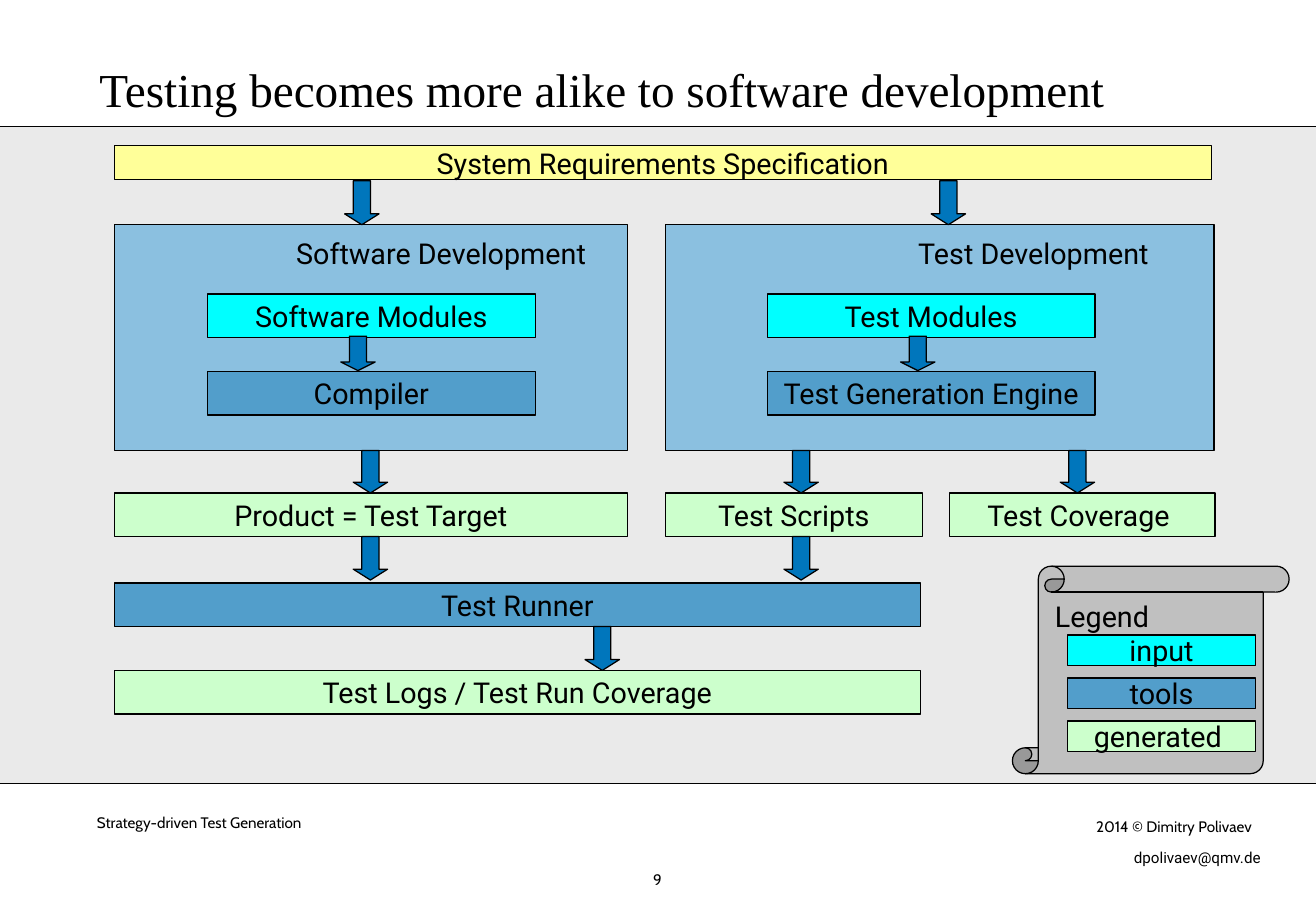
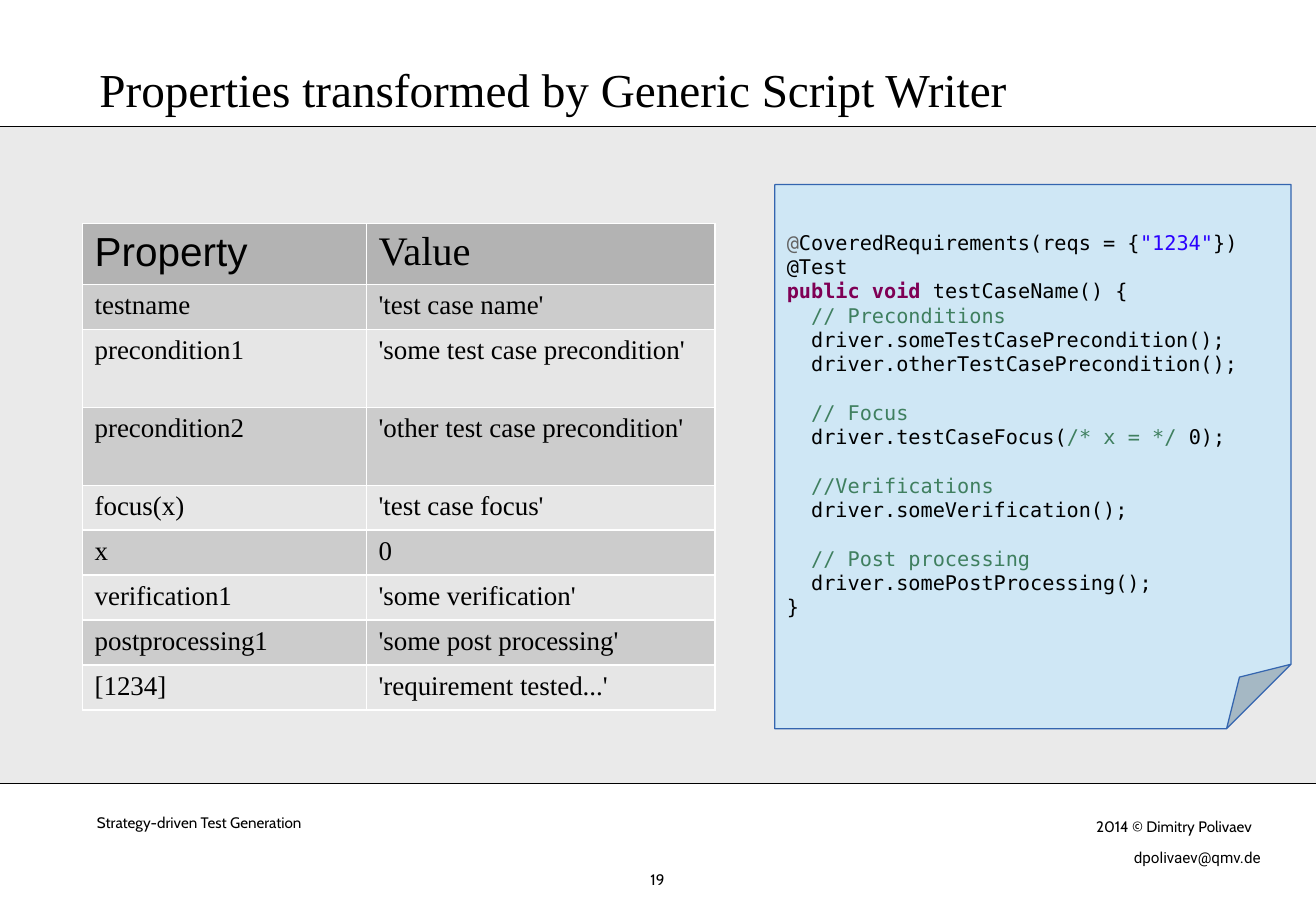
from pptx import Presentation
from pptx import util as u
from pptx.dml.color import RGBColor
from pptx.enum import shapes, text
from pptx.oxml.ns import qn
from lxml import etree

Cm, Pt = u.Cm, u.Pt
SHAPE, ALIGN, ANCHOR = shapes.MSO_SHAPE, text.PP_ALIGN, text.MSO_ANCHOR

COLORS = {
    "ink": "000000", "band": "EAEAEA", "spec": "FFFF99", "panel": "8BC0E0",
    "input": "00FFFF", "tools": "529ECB", "generated": "CCFFCC",
    "arrow": "0076BC", "scroll": "C0C0C0", "note": "CFE7F5", "note_edge": "3465AF",
    "head_row": "B3B3B3", "odd_row": "CCCCCC", "even_row": "E6E6E6",
    "at": "646464", "string": "2A00FF", "keyword": "7F0055", "comment": "3F7F5F",
}
SERIF, BODY, SMALL, MONO = "Times New Roman", "Roboto", "Cabin", "DejaVu Sans Mono"
WIDTH, HEIGHT = 27.53, 19.05
BAND_TOP, BAND_BOTTOM = 2.64, 16.38
LEFT = 2.39
BOX_H = 0.91
ARROW_W = 0.72


def rgb(name):
    return RGBColor.from_string(COLORS[name])


def add_run(p, content, font=BODY, size=17, color="ink", bold=False):
    r = p.add_run()
    r.text = content
    r.font.name, r.font.size, r.font.bold = font, Pt(size), bold
    r.font.color.rgb = rgb(color)


def set_text(tf, content, align=ALIGN.CENTER, anchor=ANCHOR.MIDDLE, insets=(0, 0),
             wrap=True, spacing=None, **font):
    tf.word_wrap, tf.vertical_anchor = wrap, anchor
    tf.margin_left = tf.margin_right = Cm(insets[0])
    tf.margin_top = tf.margin_bottom = Cm(insets[1])
    p = tf.paragraphs[0]
    p.alignment = align
    if spacing:
        p.line_spacing = spacing
    add_run(p, content, **font)


def add_label(s, x, y, w, h, content, **fmt):
    sp = s.shapes.add_textbox(Cm(x), Cm(y), Cm(w), Cm(h))
    set_text(sp.text_frame, content, **fmt)


def add_shape(s, kind, x, y, w, h, fill, line="ink", width=0.75):
    sp = s.shapes.add_shape(kind, Cm(x), Cm(y), Cm(w), Cm(h))
    sp.shadow.inherit = False
    sp.fill.solid()
    sp.fill.fore_color.rgb = rgb(fill)
    if line:
        sp.line.color.rgb = rgb(line)
        sp.line.width = Pt(width)
    else:
        sp.line.fill.background()
    return sp


def add_box(s, x, y, w, h, fill, content):
    sp = add_shape(s, SHAPE.RECTANGLE, x, y, w, h, fill)
    set_text(sp.text_frame, content)


def add_down_arrow(s, center, top, bottom, head=0.315):
    sp = add_shape(s, SHAPE.DOWN_ARROW, center - ARROW_W / 2, top, ARROW_W, bottom - top, "arrow")
    sp.adjustments[1] = head


def add_rule(s, y):
    line = s.shapes.add_connector(shapes.MSO_CONNECTOR.STRAIGHT, 0, Cm(y), Cm(WIDTH), Cm(y))
    line.line.color.rgb = rgb("ink")
    line.line.width = Pt(0.75)
    etree.SubElement(line._element.spPr, qn("a:effectLst"))


def add_frame(prs, title, number):
    """Add a slide with the grey band, rules, footer and title."""
    s = prs.slides.add_slide(prs.slide_layouts[6])
    add_shape(s, SHAPE.RECTANGLE, 0, BAND_TOP, WIDTH, BAND_BOTTOM - BAND_TOP, "band", line=None)
    for y in (BAND_TOP, BAND_BOTTOM):
        add_rule(s, y)
    footer = dict(align=ALIGN.LEFT, anchor=ANCHOR.TOP, insets=(0.25, 0.13), wrap=False, size=9)
    add_label(s, 1.78, 16.87, 8.56, 0.64, "Strategy-driven Test Generation", font=SMALL, **footer)
    add_label(s, 22.68, 16.97, 4.06, 0.64, "2014 © Dimitry Polivaev", font=SMALL, **footer)
    add_label(s, 23.47, 17.6, 3.33, 0.64, "dpolivaev@qmv.de", font=BODY, **footer)
    add_label(s, 12.98, 18.19, 1.55, 0.43, str(number), anchor=ANCHOR.TOP, font=SMALL, size=9)
    add_label(s, 2.08, 1.19, 24.18, 1.24, title, align=ALIGN.LEFT, anchor=ANCHOR.BOTTOM,
              spacing=0.8, font=SERIF, size=28)
    return s


def add_development(s, x, y, w, h, heading, heading_center, inset, modules, tool):
    """Draw a panel in which modules feed a tool; offsets count from its left edge."""
    add_shape(s, SHAPE.RECTANGLE, x, y, w, h, "panel")
    add_label(s, x + heading_center - 3.24, y + 0.23, 6.48, 0.71, heading)
    module_x, module_y, tool_y, module_w = x + inset, y + 1.45, y + 3.07, 6.86
    add_box(s, module_x, module_y, module_w, BOX_H, "input", modules)
    add_box(s, module_x, tool_y, module_w, BOX_H, "tools", tool)
    add_down_arrow(s, module_x + 3.15, module_y + BOX_H - 0.03, tool_y - 0.02, head=0.25)


def add_legend(s, x, y, w, h):
    add_shape(s, SHAPE.VERTICAL_SCROLL, x, y, w, h, "scroll")
    add_label(s, x + 0.59, y + 0.56, 2.57, 0.97, "Legend")
    for i, (fill, name) in enumerate([("input", "input"), ("tools", "tools"),
                                      ("generated", "generated ")]):
        add_box(s, x + 1.15, y + 1.44 + 0.9 * i, 3.94, 0.64, fill, name)


def add_flow(s):
    spec_y, panel_y, panel_h, output_y, runner_y, logs_y = 3.05, 4.7, 4.72, 10.31, 12.19, 14.02
    product_w, runner_w, test_x, test_w = 10.74, 16.87, 13.92, 11.48
    product_center, scripts_center = 7.75, 16.76
    add_box(s, LEFT, spec_y, 22.96, 0.71, "spec", "System Requirements Specification")
    add_development(s, LEFT, panel_y, product_w, panel_h, "Software Development", 6.84,
                    1.95, "Software Modules", "Compiler")
    add_development(s, test_x, panel_y, test_w, panel_h, "Test Development", 7.7,
                    2.13, "Test Modules", "Test Generation Engine")
    add_box(s, LEFT, output_y, product_w, BOX_H, "generated", "Product = Test Target")
    add_box(s, test_x, output_y, 5.38, BOX_H, "generated", "Test Scripts")
    add_box(s, 19.86, output_y, 5.56, BOX_H, "generated", "Test Coverage ")
    add_box(s, LEFT, runner_y, runner_w, BOX_H, "tools", "Test Runner")
    add_box(s, LEFT, logs_y, runner_w, BOX_H, "generated", "Test Logs / Test Run Coverage")

    for center in (7.57, 19.84):
        add_down_arrow(s, center, spec_y + 0.73, panel_y)
    for center in (product_center, scripts_center, 22.54):
        add_down_arrow(s, center, panel_y + panel_h, output_y)
    for center in (product_center, scripts_center):
        add_down_arrow(s, center, output_y + BOX_H, runner_y - 0.06)
    add_down_arrow(s, 12.6, runner_y + BOX_H, logs_y)


PROPERTIES = [
    ("Property", "Value"),
    ("testname", "'test case name'"),
    ("precondition1", "'some test case precondition'"),
    ("precondition2", "'other test case precondition'"),
    ("focus(x)", "'test case focus'"),
    ("x", "0"),
    ("verification1", "'some verification'"),
    ("postprocessing1", "'some post processing'"),
    ("[1234]", "'requirement tested...'"),
]


def add_properties(s, x, y, widths):
    heights = [1.27 if i == 0 else 1.63 if i in (2, 3) else 0.94
               for i in range(len(PROPERTIES))]
    table = s.shapes.add_table(len(PROPERTIES), len(widths), Cm(x), Cm(y),
                               Cm(sum(widths)), Cm(sum(heights))).table
    for column, width in zip(table.columns, widths):
        column.width = Cm(width)
    for i, (values, height) in enumerate(zip(PROPERTIES, heights)):
        table.rows[i].height = Cm(height)
        fill = "head_row" if i == 0 else "odd_row" if i % 2 else "even_row"
        for j, value in enumerate(values):
            cell = table.cell(i, j)
            cell.fill.solid()
            cell.fill.fore_color.rgb = rgb(fill)
            cell.margin_left = cell.margin_right = Cm(0.25)
            cell.margin_top = cell.margin_bottom = Cm(0.13)
            add_run(cell.text_frame.paragraphs[0], value,
                    font="Arial" if (i, j) == (0, 0) else SERIF, size=16 if i else 24)


# Each line: indented, starts a new group, runs of (text, colour)
CODE = [
    (False, False, [("@", "at"), ("CoveredRequirements(reqs = {", "ink"),
                    ('"1234"', "string"), ("})", "ink")]),
    (False, False, [("@Test", "ink")]),
    (False, False, [("public void", "keyword"), (" testCaseName() {", "ink")]),
    (True, False, [("// Preconditions", "comment")]),
    (True, False, [("driver.someTestCasePrecondition();", "ink")]),
    (True, False, [("driver.otherTestCasePrecondition();", "ink")]),
    (True, True, [("// Focus", "comment")]),
    (True, False, [("driver.testCaseFocus(", "ink"), ("/* x = */", "comment"), (" 0);", "ink")]),
    (True, True, [("//Verifications", "comment")]),
    (True, False, [("driver.someVerification();", "ink")]),
    (True, True, [("// Post processing", "comment")]),
    (True, False, [("driver.somePostProcessing();", "ink")]),
    (False, False, [("}", "ink")]),
]


def add_code_note(s, x, y, w, h):
    sp = add_shape(s, SHAPE.FOLDED_CORNER, x, y, w, h, "note", line="note_edge", width=0)
    fold = sp._element.spPr.find(qn("a:prstGeom")).get_or_add_avLst()
    etree.SubElement(fold, qn("a:gd"), name="adj", fmla="val 12500")
    tf = sp.text_frame
    tf.word_wrap, tf.vertical_anchor = True, ANCHOR.MIDDLE
    tf.margin_left = tf.margin_right = Cm(0.25)
    tf.margin_top = tf.margin_bottom = Cm(0.13)
    for i, (indented, new_group, runs) in enumerate(CODE):
        p = tf.add_paragraph() if i else tf.paragraphs[0]
        p.alignment = ALIGN.LEFT
        if indented:
            p._p.get_or_add_pPr().set("marL", str(Cm(0.51)))
        if new_group:
            p.space_before = Pt(14.4)
        for content, color in runs:
            add_run(p, content, font=MONO, size=12, color=color, bold=color == "keyword")


def main():
    prs = Presentation()
    prs.slide_width, prs.slide_height = Cm(WIDTH), Cm(HEIGHT)

    s = add_frame(prs, "Testing becomes more alike to software development", 9)
    add_flow(s)
    add_legend(s, 21.18, 11.84, 5.79, 4.34)

    s = add_frame(prs, "Properties transformed by Generic Script Writer", 19)
    add_properties(s, 1.73, 4.67, (5.94, 7.29))
    add_code_note(s, 16.21, 3.86, 10.8, 11.38)

    prs.save("out.pptx")


if __name__ == "__main__":
    main()
